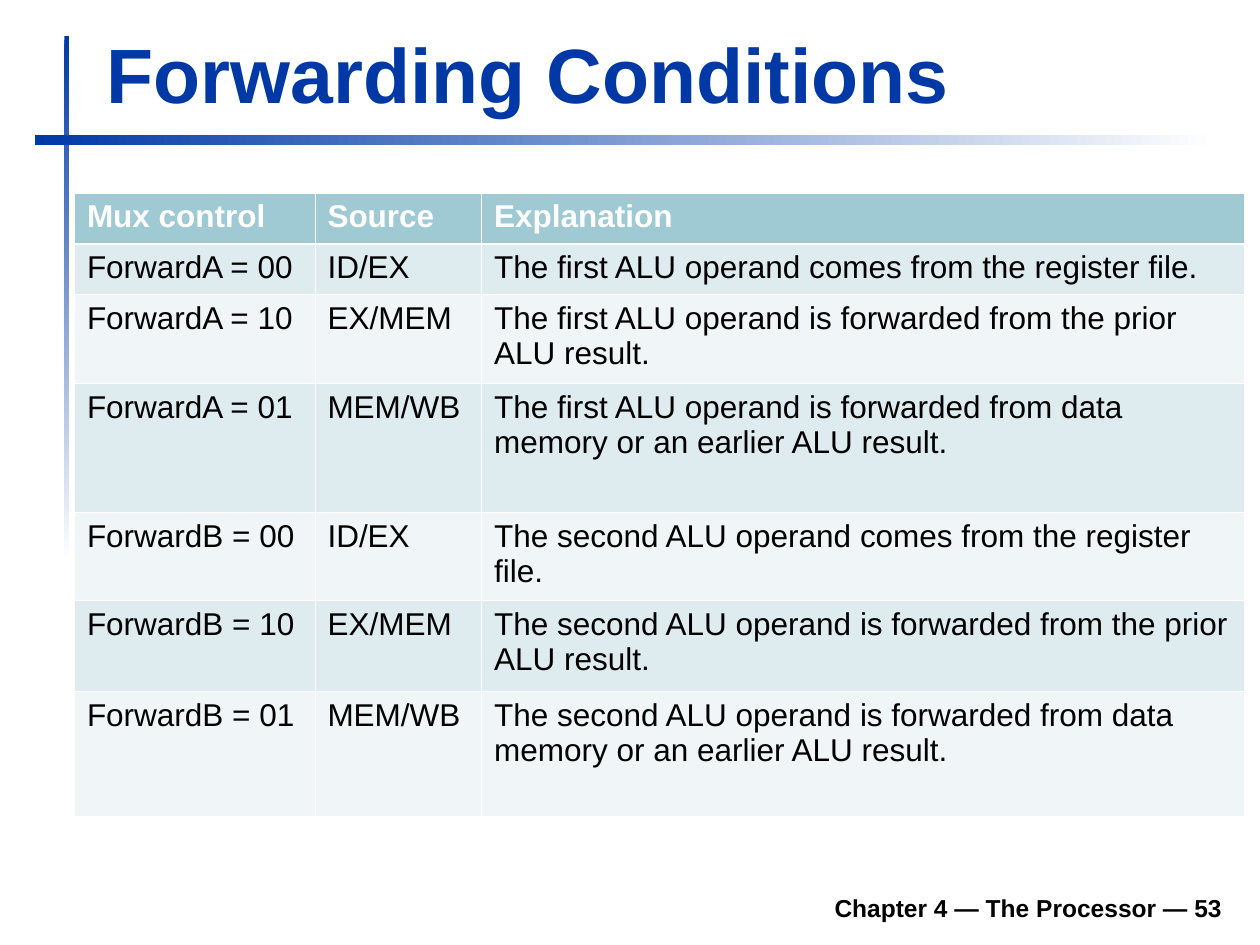
from lxml import etree
from pptx import Presentation
from pptx.dml.color import RGBColor
from pptx.enum.shapes import MSO_SHAPE
from pptx.enum.text import MSO_ANCHOR, PP_ALIGN
from pptx.oxml.ns import qn
from pptx.util import Cm, Pt

RECTANGLE = MSO_SHAPE.RECTANGLE
BOTTOM = MSO_ANCHOR.BOTTOM
LEFT, RIGHT = PP_ALIGN.LEFT, PP_ALIGN.RIGHT
BLUE, WHITE, BLACK = "0039A6", "FFFFFF", "000000"
HEADER_FILL, BAND_FILLS = "9FCAD3", ("DFECEF", "F0F6F7")


def color(value):
    return RGBColor.from_string(value)


def write(frame, text, size, font_color, bold, align=LEFT):
    para = frame.paragraphs[0]
    para.alignment = align
    span = para.add_run()
    span.text = text
    span.font.color.rgb = color(font_color)
    formats = {"name": "Arial", "size": Pt(size), "bold": bold}
    for name, value in formats.items():
        setattr(span.font, name, value)


deck = Presentation()
deck.slide_width, deck.slide_height = Cm(25.4), Cm(19.05)
slide = deck.slides.add_slide(deck.slide_layouts[5])
shapes = slide.shapes

# Fading rules beside and below the title
rules = [
    (1.3, 0.72, 0.09, 10.58, 270),
    (0.7, 2.72, 23.8, 0.2, 0),
]
for left, top, width, height, angle in rules:
    rule = shapes.add_shape(RECTANGLE, Cm(left), Cm(top), Cm(width), Cm(height))
    rule.shadow.inherit = False
    rule.line.fill.background()
    rule.fill.gradient()
    rule.fill.gradient_angle = angle
    for stop, value in zip(rule.fill.gradient_stops, (BLUE, WHITE)):
        stop.color.rgb = color(value)

# Title
title = shapes.title
place = {"left": Cm(1.9), "top": Cm(0.4), "width": Cm(22.93), "height": Cm(2.12)}
for name, value in place.items():
    setattr(title, name, value)
title.text_frame.vertical_anchor = BOTTOM
write(title.text_frame, "Forwarding Conditions", 44, BLUE, True)

# Footer
footer = shapes.add_textbox(Cm(4.7), Cm(17.73), Cm(20.19), Cm(1)).text_frame
footer.word_wrap = True
footer.vertical_anchor = BOTTOM
write(footer, "Chapter 4 — The Processor — 53", 14, BLACK, True, RIGHT)

# Table of forwarding conditions
rows = [
    ("Mux control", "Source", "Explanation"),
    ("ForwardA = 00", "ID/EX",
     "The first ALU operand comes from the register file."),
    ("ForwardA = 10", "EX/MEM",
     "The first ALU operand is forwarded from the prior ALU result."),
    ("ForwardA = 01", "MEM/WB",
     "The first ALU operand is forwarded from data memory or an earlier ALU result."),
    ("ForwardB = 00", "ID/EX",
     "The second ALU operand comes from the register file."),
    ("ForwardB = 10", "EX/MEM",
     "The second ALU operand is forwarded from the prior ALU result."),
    ("ForwardB = 01", "MEM/WB",
     "The second ALU operand is forwarded from data memory or an earlier ALU result."),
]
column_widths = (4.85, 3.36, 15.38)
row_heights = (1.03, 1.01, 1.79, 2.6, 1.77, 1.83, 2.52)
table = shapes.add_table(
    len(rows), len(column_widths), Cm(1.5), Cm(3.89),
    Cm(sum(column_widths)), Cm(sum(row_heights)),
).table
for column, width in zip(table.columns, column_widths):
    column.width = Cm(width)
for row, height in zip(table.rows, row_heights):
    row.height = Cm(height)

for row_index, texts in enumerate(rows):
    header = row_index == 0
    fill = HEADER_FILL if header else BAND_FILLS[(row_index - 1) % 2]
    # A heavier line separates the header from the body
    heavy_side = {0: "lnB", 1: "lnT"}.get(row_index)
    for column_index, text in enumerate(texts):
        cell = table.cell(row_index, column_index)
        write(cell.text_frame, text, 18, WHITE if header else BLACK, header)
        properties = cell._tc.get_or_add_tcPr()
        for side in ("lnL", "lnR", "lnT", "lnB"):
            line_width = Pt(1.47 if side == heavy_side else 0.45)
            border = etree.SubElement(properties, qn("a:" + side), w=str(line_width))
            solid = etree.SubElement(border, qn("a:solidFill"))
            etree.SubElement(solid, qn("a:srgbClr"), val=WHITE)
        cell.fill.solid()
        cell.fill.fore_color.rgb = color(fill)

deck.save("out.pptx")
